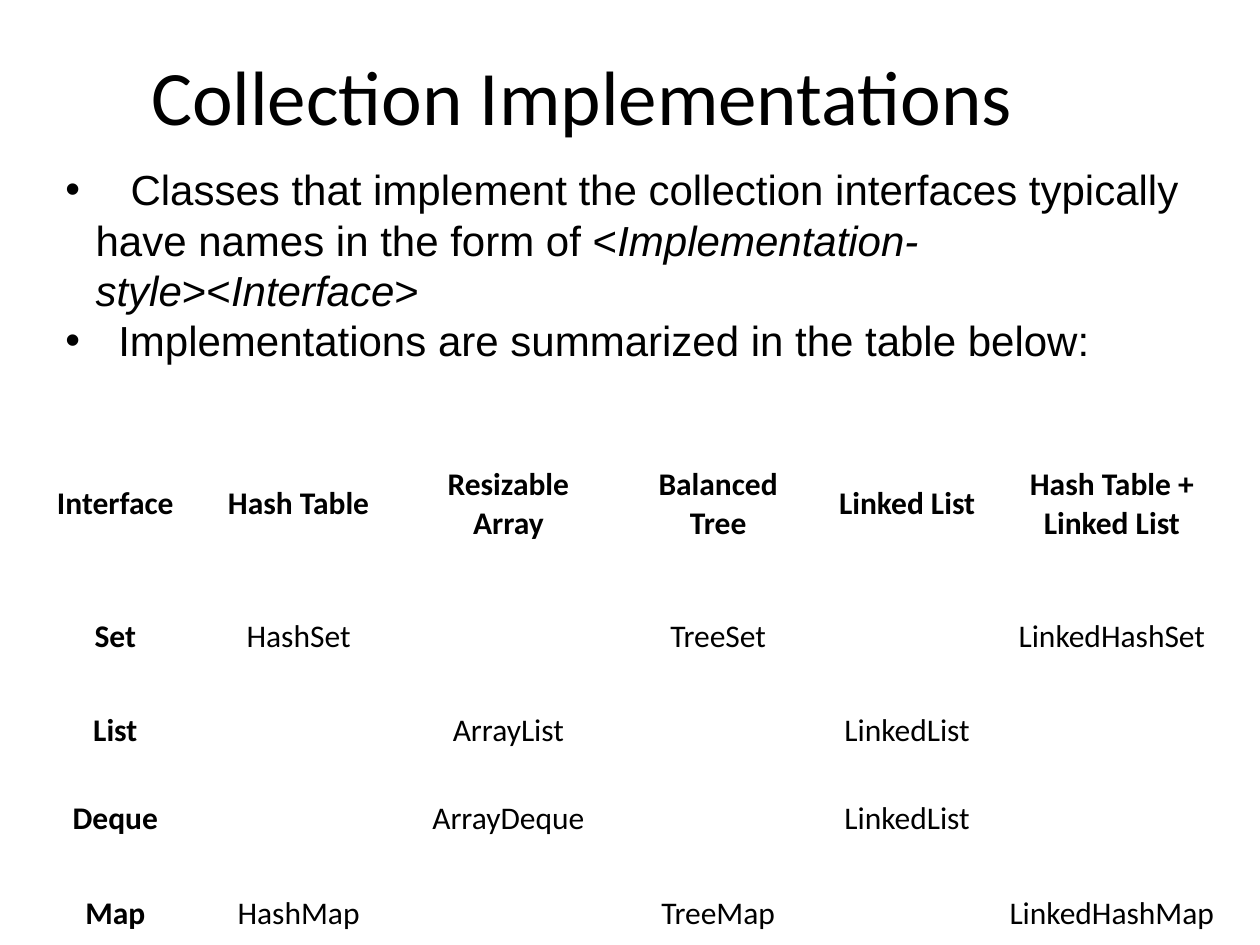
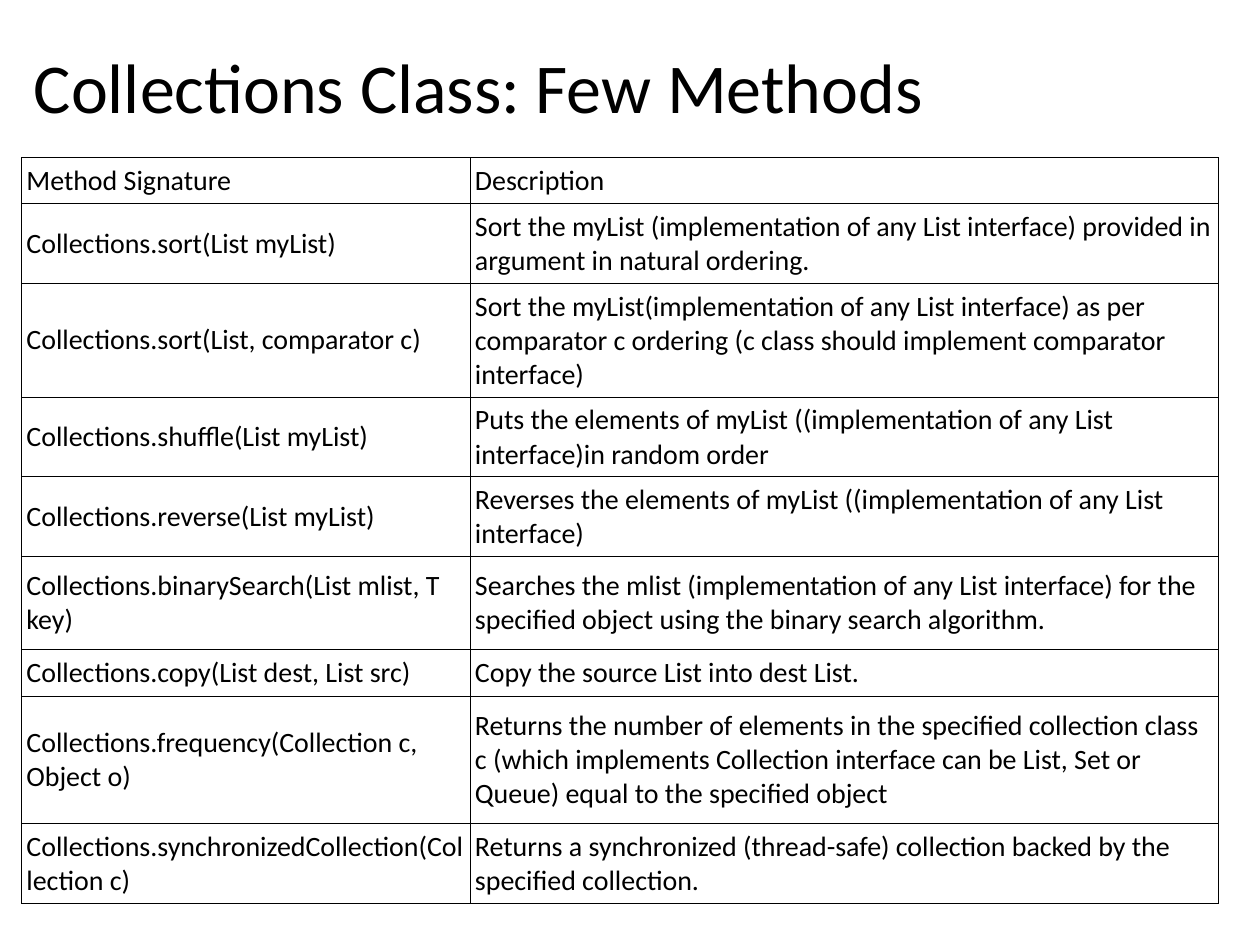
"""Builds two slides on collection classes and their methods."""
from lxml import etree
from pptx import Presentation
from pptx.dml.color import RGBColor
from pptx.enum import text
from pptx.oxml.ns import qn
from pptx.util import Inches, Pt

BLACK = RGBColor(0, 0, 0)
HEAD, BODY = "Calibri", "Arial"
LEFT, MID = text.PP_ALIGN.LEFT, text.PP_ALIGN.CENTER
TOP, CENTER = text.MSO_ANCHOR.TOP, text.MSO_ANCHOR.MIDDLE

TITLES = [
    ("Collection Implementations", (0.58, 0.25, 8.08, 1), 44, MID, CENTER),
    ("Collections Class: Few Methods", (0.17, 0.3, 8.75, 0.87), 40, LEFT, TOP),
]
POINTS = [
    (0.24, 13.3, [
        ("Classes that implement the collection interfaces typically "
         "have names in the form of <", False),
        ("Implementation-style", True), ("><", False),
        ("Interface", True), (">", False)]),
    (0.42, 0, [("Implementations are summarized in the table below:", False)]),
]
KINDS = [
    ("Interface", "Hash Table", "Resizable Array", "Balanced Tree",
     "Linked List", "Hash Table + Linked List"),
    ("Set", "HashSet", "", "TreeSet", "", "LinkedHashSet"),
    ("List", "", "ArrayList", "", "LinkedList", ""),
    ("Deque", "", "ArrayDeque", "", "LinkedList", ""),
    ("Map", "HashMap", "", "TreeMap", "", "LinkedHashMap"),
]
METHODS = [
    ("Method Signature", "Description"),
    ("Collections.sort(List myList)",
     "Sort the myList (implementation of any List interface) provided in "
     "argument in natural ordering."),
    ("Collections.sort(List, comparator c)",
     "Sort the myList(implementation of any List interface) as per "
     "comparator c ordering (c class should implement comparator interface)"),
    ("Collections.shuffle(List myList)",
     "Puts the elements of myList ((implementation of any List "
     "interface)in random order"),
    ("Collections.reverse(List myList)",
     "Reverses the elements of myList ((implementation of any List interface)"),
    ("Collections.binarySearch(List mlist, T key)",
     "Searches the mlist (implementation of any List interface) for the "
     "specified object using the binary search algorithm."),
    ("Collections.copy(List dest, List src)",
     "Copy the source List into dest List."),
    ("Collections.frequency(Collection c, Object o)",
     "Returns the number of elements in the specified collection class c "
     "(which implements Collection interface can be List, Set or Queue) "
     "equal to the specified object"),
    ("Collections.synchronizedCollection(Collection c)",
     "Returns a synchronized (thread-safe) collection backed by the "
     "specified collection."),
]


def add_run(para, words, size, face=HEAD, bold=False, slant=False):
    run = para.add_run()
    run.text = words
    font = run.font
    font.size, font.name = Pt(size), face
    font.bold, font.italic = bold, slant
    font.color.rgb = BLACK
    return run


def add_box(slide, area, anchor=TOP):
    frame = slide.shapes.add_textbox(*map(Inches, area)).text_frame
    frame.word_wrap = True
    frame.vertical_anchor = anchor
    return frame


def add_title(slide, words, area, size, align, anchor):
    para = add_box(slide, area, anchor).paragraphs[0]
    para.alignment = align
    add_run(para, words, size)


def add_points(slide, area):
    frame = add_box(slide, area)
    for i, (hang, gap, runs) in enumerate(POINTS):
        para = frame.add_paragraph() if i else frame.paragraphs[0]
        props = para._p.get_or_add_pPr()
        props.set("marL", str(Inches(hang)))
        props.set("indent", str(-Inches(hang)))
        etree.SubElement(props, qn("a:buFont")).set("typeface", BODY)
        etree.SubElement(props, qn("a:buChar")).set("char", "•")
        if gap:
            lead = add_run(para, " ", 24, BODY)
            lead._r.get_or_add_rPr().set("spc", str(round(gap * 100)))
        for words, slant in runs:
            add_run(para, words, 24, BODY, slant=slant)


def add_border(cell):
    props = cell._tc.get_or_add_tcPr()
    for i, side in enumerate(("lnL", "lnR", "lnT", "lnB")):
        line = etree.Element(qn("a:" + side), w=str(Pt(0.45)))
        fill = etree.SubElement(line, qn("a:solidFill"))
        etree.SubElement(fill, qn("a:srgbClr")).set("val", str(BLACK))
        props.insert(i, line)


def add_grid(slide, rows, spot, wides, highs, size, align, pad, bold, ruled):
    area = (*spot, sum(wides), sum(highs))
    grid = slide.shapes.add_table(
        len(rows), len(wides), *map(Inches, area)).table
    grid.first_row = grid.horz_banding = False
    for col, wide in zip(grid.columns, wides):
        col.width = Inches(wide)
    for row, high in zip(grid.rows, highs):
        row.height = Inches(high)
    for r, row in enumerate(rows):
        for c, words in enumerate(row):
            cell = grid.cell(r, c)
            cell.fill.background()
            cell.vertical_anchor = CENTER
            cell.margin_left = cell.margin_right = Inches(pad)
            if ruled:
                add_border(cell)
            if words:
                para = cell.text_frame.paragraphs[0]
                para.alignment = align
                add_run(para, words, size, bold=bold and 0 in (r, c))


def main():
    deck = Presentation()
    deck.slide_width, deck.slide_height = Inches(10), Inches(7.5)
    first, second = [deck.slides.add_slide(deck.slide_layouts[6])
                     for _ in TITLES]
    for slide, title in zip((first, second), TITLES):
        add_title(slide, *title)
    add_grid(first, KINDS, (0.25, 3.35), (1.33, 1.58, 1.75, 1.58, 1.42, 1.83),
             (1.3, 0.8, 0.7, 0.7, 0.8), 18, MID, 0.1, True, False)
    add_points(first, (0.42, 1.25, 9.08, 1.7))
    add_grid(second, METHODS, (0.17, 1.25), (3.56, 5.94),
             (0.31, 0.6, 0.87, 0.57, 0.57, 0.74, 0.32, 1.01, 0.6),
             16, LEFT, 0.04, False, True)
    deck.save("out.pptx")


if __name__ == "__main__":
    main()
